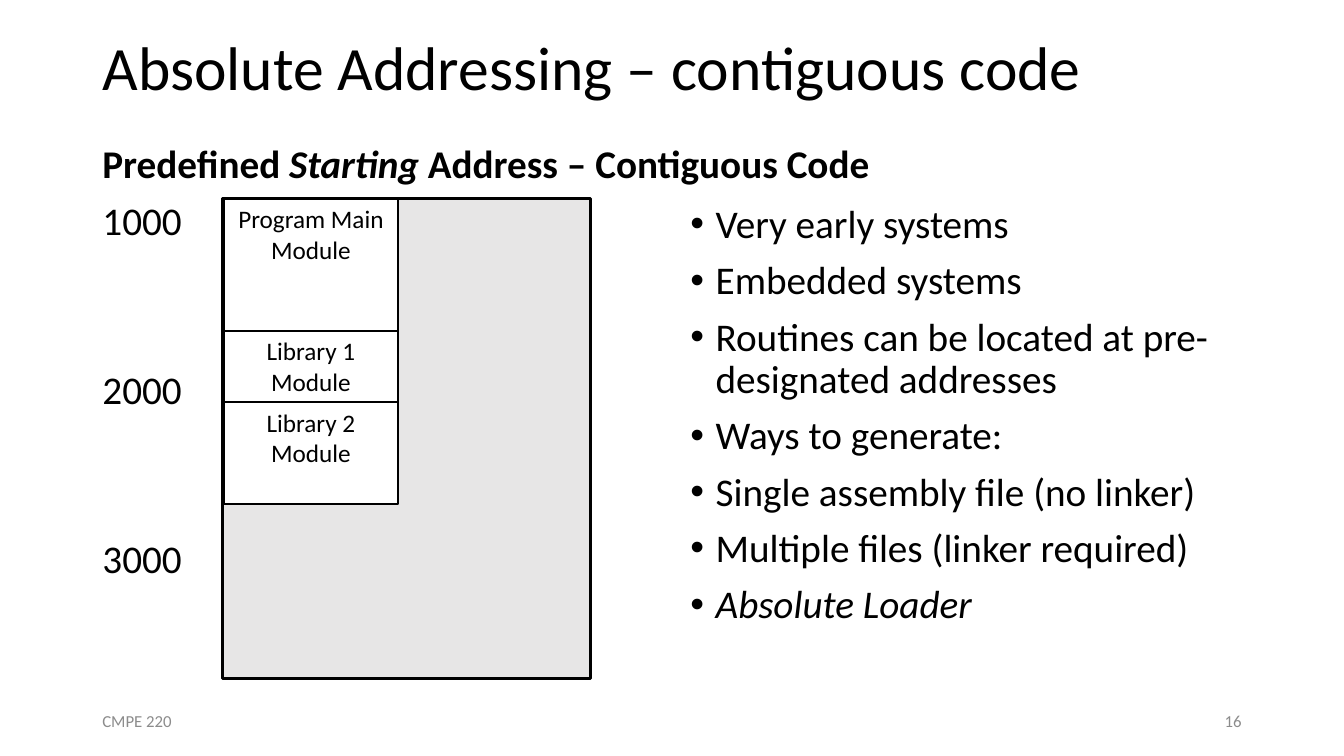
from lxml import etree
from pptx import Presentation
from pptx.dml.color import RGBColor
from pptx.enum.shapes import MSO_SHAPE
from pptx.enum.text import MSO_ANCHOR, MSO_AUTO_SIZE, PP_ALIGN
from pptx.oxml.ns import qn
from pptx.util import Pt

COLORS = {"text": "000000", "muted": "8C8C8C", "memory": "E7E6E6", "module": "FFFFFF"}
FONT = "Calibri"
BODY_SIZE = 28
MARGIN = 66
CONTENT_WIDTH = 828
MEMORY_TOP = 142

HEADING = [("Predefined ", False), ("Starting", True), (" Address – Contiguous Code", False)]
ADDRESSES = [("1000", 10), ("2000", 90.5), ("3000", 90.5)]  # label, space before
MODULES = [("Program Main Module", 94.3), ("Library 1 Module", 51.1), ("Library 2 Module", 72.8)]
POINTS = [
    ("Very early systems", False),
    ("Embedded systems", False),
    ("Routines can be located at pre-designated addresses", False),
    ("Ways to generate:", False),
    ("Single assembly file (no linker)", False),
    ("Multiple files (linker required)", False),
    ("Absolute Loader", True),
]


def place(shape, box):
    shape.left, shape.top, shape.width, shape.height = [Pt(length) for length in box]


def set_frame(shape, anchor):
    frame = shape.text_frame
    frame.word_wrap = True
    frame.auto_size = MSO_AUTO_SIZE.NONE
    frame.vertical_anchor = anchor
    return frame


def next_paragraph(frame, index):
    return frame.add_paragraph() if index else frame.paragraphs[0]


def add_run(paragraph, text, size, color="text", bold=False, italic=False):
    run = paragraph.add_run()
    run.text = text
    font = run.font
    font.name, font.size, font.bold, font.italic = FONT, Pt(size), bold, italic
    font.color.rgb = RGBColor.from_string(COLORS[color])


def format_body(paragraph, space_before=10, bullet=None):
    paragraph.alignment = PP_ALIGN.LEFT
    paragraph.line_spacing = 0.9
    paragraph.space_before = Pt(space_before)
    properties = paragraph._p.get_or_add_pPr()
    indent = 18 if bullet else 0
    properties.set("marL", str(Pt(indent)))
    properties.set("indent", str(Pt(-indent)))
    if bullet:
        etree.SubElement(properties, qn("a:buChar")).set("char", bullet)
    else:
        etree.SubElement(properties, qn("a:buNone"))


def fill_title(title, box):
    place(title, box)
    paragraph = set_frame(title, MSO_ANCHOR.MIDDLE).paragraphs[0]
    paragraph.alignment = PP_ALIGN.LEFT
    paragraph.line_spacing = 0.9
    add_run(paragraph, "Absolute Addressing – contiguous code", 44)


def fill_points(body, box):
    place(body, box)
    frame = set_frame(body, MSO_ANCHOR.TOP)
    for index, (text, italic) in enumerate(POINTS):
        paragraph = next_paragraph(frame, index)
        format_body(paragraph, bullet="•")
        add_run(paragraph, text, BODY_SIZE, italic=italic)


def fill_addresses(body, box):
    place(body, box)
    frame = set_frame(body, MSO_ANCHOR.TOP)
    heading = frame.paragraphs[0]
    format_body(heading)
    for text, italic in HEADING:
        add_run(heading, text, BODY_SIZE, bold=True, italic=italic)
    for label, space_before in ADDRESSES:
        paragraph = frame.add_paragraph()
        format_body(paragraph, space_before)
        add_run(paragraph, label, BODY_SIZE)


def add_block(slide, box, fill, line_width):
    block = slide.shapes.add_shape(MSO_SHAPE.RECTANGLE, *[Pt(length) for length in box])
    block.shadow.inherit = False
    block.fill.solid()
    block.fill.fore_color.rgb = RGBColor.from_string(COLORS[fill])
    block.line.color.rgb = RGBColor.from_string(COLORS["text"])
    block.line.width = Pt(line_width)
    return block


def add_memory_map(slide, box):
    left, top, width, height = box
    add_block(slide, box, "memory", 2.25)
    # Modules stacked from the start of memory
    for name, module_height in MODULES:
        module = add_block(slide, (left + 0.7, top, 124.5, module_height), "module", 1.5)
        paragraph = set_frame(module, MSO_ANCHOR.TOP).paragraphs[0]
        paragraph.alignment = PP_ALIGN.CENTER
        add_run(paragraph, name, 18)
        top += module_height


def add_footer(slide, box):
    left, top, width, height = box
    part_width = 216
    parts = [
        ("CMPE 220", left, PP_ALIGN.LEFT),
        ("16", left + width - part_width, PP_ALIGN.RIGHT),
    ]
    for text, part_left, alignment in parts:
        text_box = slide.shapes.add_textbox(Pt(part_left), Pt(top), Pt(part_width), Pt(height))
        paragraph = set_frame(text_box, MSO_ANCHOR.MIDDLE).paragraphs[0]
        paragraph.alignment = alignment
        add_run(paragraph, text, 12, "muted")


def main():
    presentation = Presentation()
    presentation.slide_width, presentation.slide_height = Pt(960), Pt(540)
    slide = presentation.slides.add_slide(presentation.slide_layouts.get_by_name("Two Content"))
    title, addresses, points = slide.placeholders
    fill_title(title, (MARGIN, 0.7, CONTENT_WIDTH, 99.4))
    fill_addresses(addresses, (MARGIN, 100, 564, 384.5))
    fill_points(points, (486, 142.5, 408, 342.7))
    add_memory_map(slide, (159.2, MEMORY_TOP, 262.8, 342.7))
    add_footer(slide, (MARGIN, 500.4, CONTENT_WIDTH, 28.8))
    presentation.save("out.pptx")


if __name__ == "__main__":
    main()
